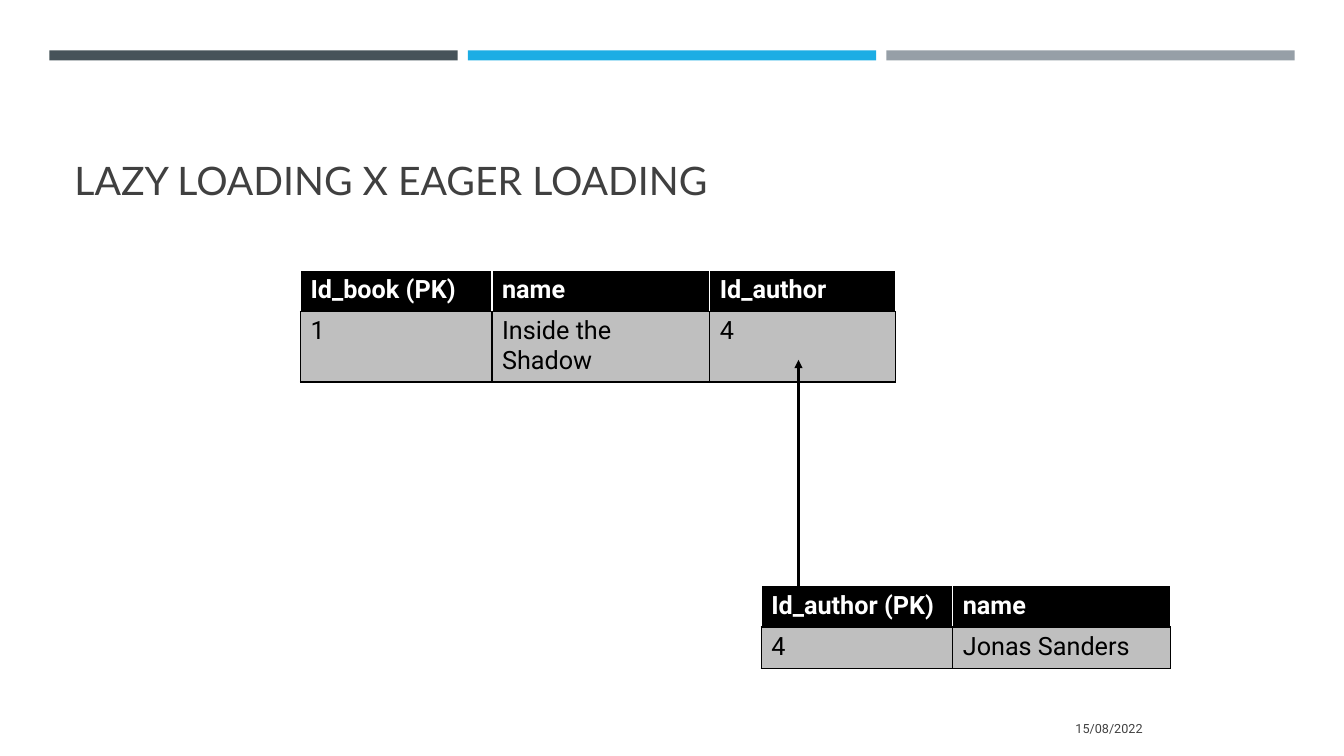
"""Build a slide on lazy and eager loading with two linked tables."""
from lxml import etree
from pptx import Presentation
from pptx.dml.color import RGBColor
from pptx.enum.shapes import MSO_CONNECTOR, MSO_SHAPE
from pptx.enum.text import MSO_ANCHOR, PP_ALIGN
from pptx.oxml.ns import qn
from pptx.util import Inches, Pt

RECT = MSO_SHAPE.RECTANGLE
LINE = MSO_CONNECTOR.STRAIGHT
LEFT, RIGHT = PP_ALIGN.LEFT, PP_ALIGN.RIGHT
BOTTOM, MIDDLE = MSO_ANCHOR.BOTTOM, MSO_ANCHOR.MIDDLE

BLACK = RGBColor(0x00, 0x00, 0x00)
WHITE = RGBColor(0xFF, 0xFF, 0xFF)
SILVER = RGBColor(0xBF, 0xBF, 0xBF)
DARK = RGBColor(0x40, 0x40, 0x40)
SLATE = RGBColor(0x46, 0x53, 0x59)
BLUE = RGBColor(0x1C, 0xAD, 0xE4)
GREY = RGBColor(0x96, 0x9F, 0xA7)

BARS = [SLATE, BLUE, GREY]
TEXTS = [
    ("LAZY LOADING X EAGER LOADING", (0.64, 0.77, 12.06, 1.3), "Lato", 28, LEFT, BOTTOM),
    ("15/08/2022", (8.32, 7.03, 3.11, 0.4), "Roboto", 9, RIGHT, MIDDLE),
]
TABLES = [
    ((2.98, 2.68), [1.9, 2.16, 1.84],
     [["Id_book (PK)", "name", "Id_author"], ["1", "Inside the Shadow", "4"]]),
    ((7.55, 5.81), [1.9, 2.16],
     [["Id_author (PK)", "name"], ["4", "Jonas Sanders"]]),
]
ROW = 0.41
ARROW = (7.92, 5.81, 7.92, 3.57)


def style(para, font, size, color, bold=False):
    for run in para.runs:
        run.font.name = font
        run.font.size = Pt(size)
        run.font.bold = bold
        run.font.color.rgb = color


def add_bar(slide, col, color):
    bar = slide.shapes.add_shape(
        RECT, Inches(0.49 + col * 4.15), Inches(0.5), Inches(4.05), Inches(0.1))
    bar.shadow.inherit = False
    bar.fill.solid()
    bar.fill.fore_color.rgb = color
    bar.line.fill.background()


def add_text(slide, text, box, font, size, align, anchor):
    frame = slide.shapes.add_textbox(*map(Inches, box)).text_frame
    frame.word_wrap = True
    frame.vertical_anchor = anchor
    para = frame.paragraphs[0]
    para.text = text
    para.alignment = align
    style(para, font, size, DARK)


def set_edges(cell, colors):
    props = cell._tc.get_or_add_tcPr()
    for pos, (side, color) in enumerate(zip("LRTB", colors)):
        edge = etree.Element(qn(f"a:ln{side}"), w=str(Pt(1)))
        fill = etree.SubElement(edge, qn("a:solidFill"))
        etree.SubElement(fill, qn("a:srgbClr"), val=str(color))
        props.insert(pos, edge)


def add_grid(slide, spot, widths, rows):
    size = (sum(widths), ROW * len(rows))
    table = slide.shapes.add_table(
        len(rows), len(widths), *map(Inches, spot + size)).table
    for col, width in zip(table.columns, widths):
        col.width = Inches(width)
    for r, row in enumerate(rows):
        head = r == 0
        table.rows[r].height = Inches(ROW)
        for c, text in enumerate(row):
            cell = table.cell(r, c)
            cell.fill.solid()
            cell.fill.fore_color.rgb = BLACK if head else SILVER
            set_edges(cell, [WHITE] * 3 + [BLACK] if head else [BLACK] * 4)
            para = cell.text_frame.paragraphs[0]
            para.text = text
            style(para, "Roboto", 18, WHITE if head else BLACK, head)


def add_arrow(slide, ends):
    arrow = slide.shapes.add_connector(LINE, *map(Inches, ends))
    arrow.line.color.rgb = BLACK
    arrow.line.width = Pt(1.75)
    etree.SubElement(arrow.line._get_or_add_ln(), qn("a:tailEnd"), type="triangle")
    etree.SubElement(arrow._element.spPr, qn("a:effectLst"))


def main():
    deck = Presentation()
    deck.slide_width, deck.slide_height = Inches(13.33), Inches(7.5)
    slide = deck.slides.add_slide(deck.slide_layouts[6])
    for col, color in enumerate(BARS):
        add_bar(slide, col, color)
    for item in TEXTS:
        add_text(slide, *item)
    for item in TABLES:
        add_grid(slide, *item)
    add_arrow(slide, ARROW)
    deck.save("out.pptx")


if __name__ == "__main__":
    main()
